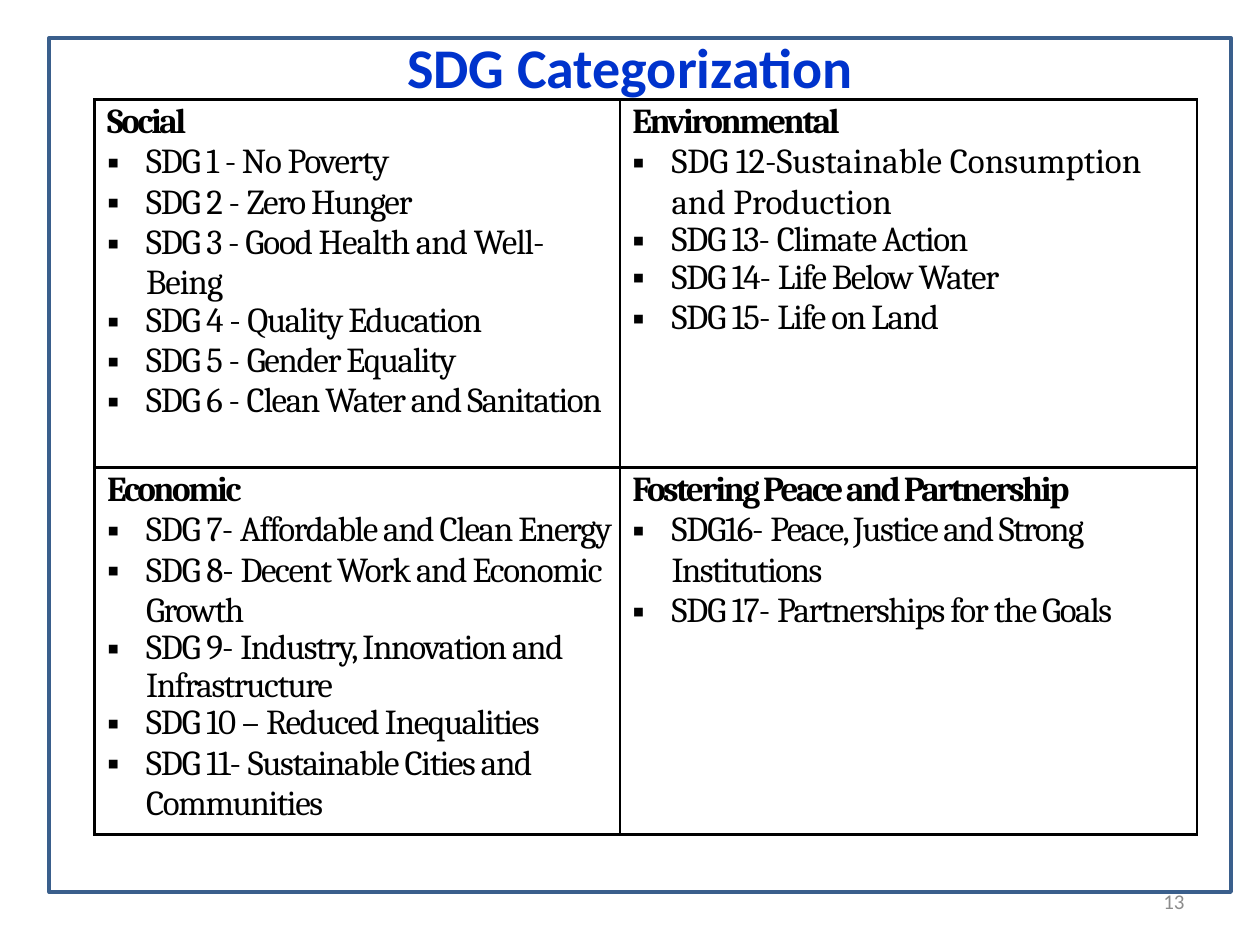
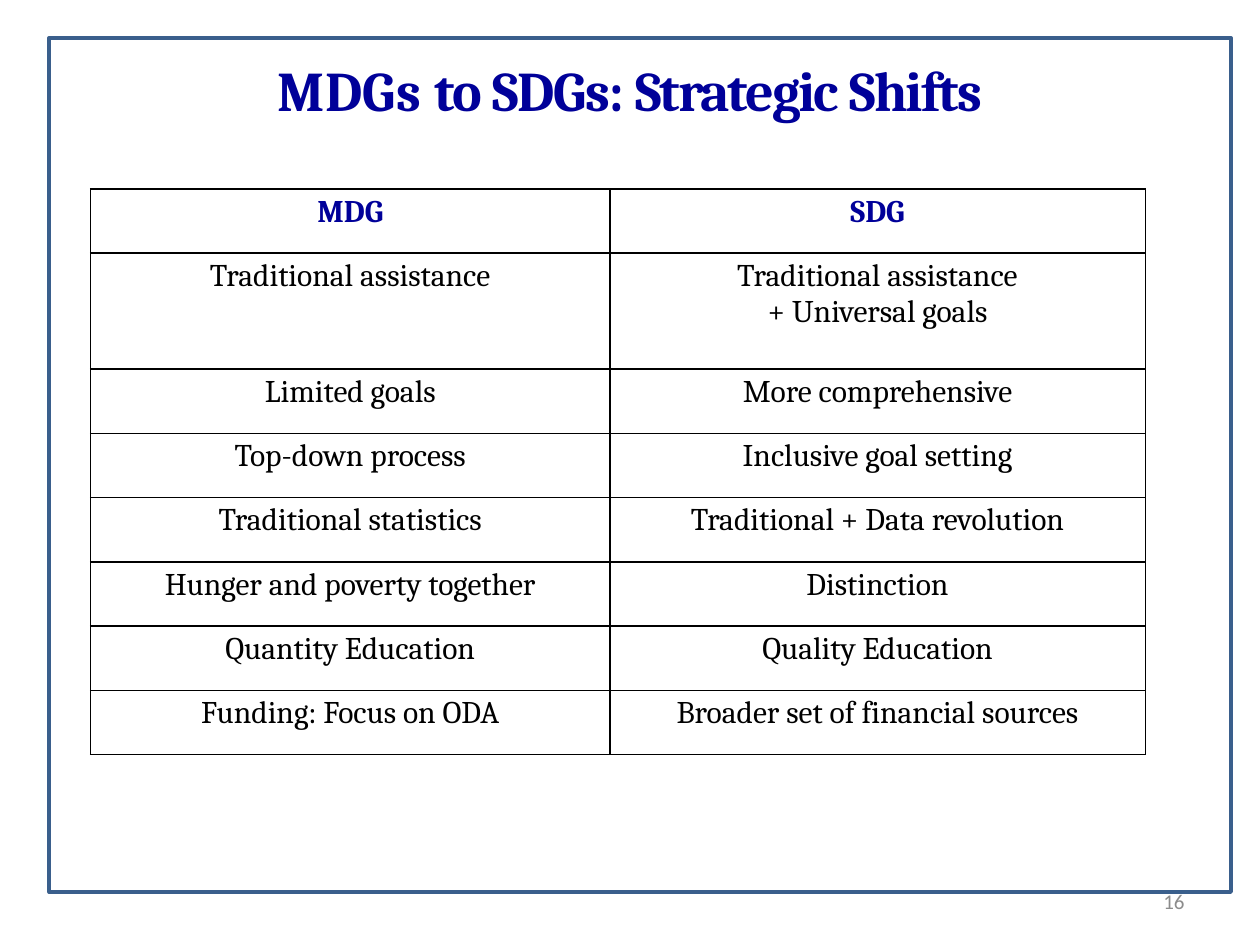
"""Build two slides on the Sustainable Development Goals."""
from lxml import etree
from pptx import Presentation
from pptx import util as u
from pptx.dml.color import RGBColor
from pptx.enum import shapes, text
from pptx.oxml.ns import qn

PX = 9144
BLACK = RGBColor(0x00, 0x00, 0x00)
WHITE = RGBColor(0xFF, 0xFF, 0xFF)
FRAME_BLUE = RGBColor(0x3A, 0x5F, 0x8C)
BRIGHT_BLUE = RGBColor(0x00, 0x33, 0xCC)
NAVY = RGBColor(0x00, 0x00, 0x99)
GREY = RGBColor(0x8C, 0x8C, 0x8C)
SANS, SERIF = "Calibri", "Cambria"
TITLE_ONLY = 5

FRAME_BOX = (39, 30, 938, 678)
NUMBER_BOX = (717, 695, 233, 40)
LABEL_SPACING, NAME_SPACING, HEADING_SPACING = -0.6, -0.8, -1.4
TIGHT_LINE = u.Pt(21.4)

# Each goal: label, name, letter spacing of the name, exact line height or None.
CATEGORIES = [
    [
        ("Social", [
            ("SDG 1 - ", "No Poverty", -0.6, None),
            ("SDG 2 - ", "Zero Hunger", NAME_SPACING, None),
            ("SDG 3 - ", "Good Health and Well-Being", -0.6, None),
            ("SDG 4 - ", "Quality Education", NAME_SPACING, TIGHT_LINE),
            ("SDG 5 - ", "Gender Equality", NAME_SPACING, None),
            ("SDG 6 - ", "Clean Water and Sanitation", NAME_SPACING, None),
        ]),
        ("Environmental", [
            ("SDG 12-", "Sustainable Consumption and Production", 0, None),
            ("SDG 13- ", "Climate Action", NAME_SPACING, TIGHT_LINE),
            ("SDG 14- ", "Life Below Water", NAME_SPACING, TIGHT_LINE),
            ("SDG 15- ", "Life on Land", NAME_SPACING, None),
        ]),
    ],
    [
        ("Economic", [
            ("SDG 7- ", "Affordable and Clean Energy", NAME_SPACING, None),
            ("SDG 8- ", "Decent Work and Economic Growth", NAME_SPACING, None),
            ("SDG 9- ", "Industry, Innovation and Infrastructure", NAME_SPACING, TIGHT_LINE),
            ("SDG 10 – ", "Reduced Inequalities", NAME_SPACING, TIGHT_LINE),
            ("SDG 11- ", "Sustainable Cities and Communities", NAME_SPACING, None),
        ]),
        ("Fostering Peace and Partnership", [
            ("SDG16- ", "Peace, Justice and Strong Institutions", -0.9, None),
            ("SDG 17- ", "Partnerships for the Goals", NAME_SPACING, None),
        ]),
    ],
]

SHIFTS = [
    ("MDG", "SDG"),
    ("Traditional assistance", "Traditional assistance\n+ Universal goals"),
    ("Limited goals", "More comprehensive"),
    ("Top-down process", "Inclusive goal setting"),
    ("Traditional statistics", "Traditional + Data revolution"),
    ("Hunger and poverty together", "Distinction"),
    ("Quantity Education", "Quality Education"),
    ("Funding: Focus on ODA", "Broader set of financial sources"),
]


def px(*lengths):
    """Turn px lengths into EMU."""
    return [length * PX for length in lengths]


def write_para(para, spans, name, size, color, bold=False, align=None):
    """Fill a paragraph with (wording, letter spacing) spans in one font."""
    para.alignment = align
    font = para.font
    font.name, font.size, font.bold = name, u.Pt(size), bold
    font.color.rgb = color
    for wording, spacing in spans:
        span = para.add_run()
        span.text = wording
        if spacing:
            span._r.get_or_add_rPr().set("spc", str(round(spacing * 100)))


def indent_para(para, left, hanging=0, bullet=None):
    """Indent a paragraph and give it a hanging bullet if asked."""
    props = para._p.get_or_add_pPr()
    props.set("marL", str(left * PX))
    props.set("indent", str(-hanging * PX))
    if bullet:
        etree.SubElement(props, qn("a:buFont"), typeface="Arial")
        etree.SubElement(props, qn("a:buChar"), char=bullet)


def next_para(frame, index):
    """Return the first paragraph of a text frame, or a new one after it."""
    return frame.add_paragraph() if index else frame.paragraphs[0]


def border_cell(cell, points):
    """Draw a black line on all four sides of a cell."""
    props = cell._tc.get_or_add_tcPr()
    for index, side in enumerate(("lnL", "lnR", "lnT", "lnB")):
        line = etree.Element(qn(f"a:{side}"), w=str(u.Pt(points)))
        fill = etree.SubElement(line, qn("a:solidFill"))
        etree.SubElement(fill, qn("a:srgbClr"), val=str(BLACK))
        props.insert(index, line)


def add_grid(page, left, top, widths, heights, margins, border):
    """Add a plain white table with black borders."""
    box = px(left, top, sum(widths), sum(heights))
    grid = page.shapes.add_table(len(heights), len(widths), *box).table
    grid.first_row = grid.horz_banding = False
    for column, width in zip(grid.columns, px(*widths)):
        column.width = width
    for row, height in zip(grid.rows, px(*heights)):
        row.height = height
    for cell in grid.iter_cells():
        cell.fill.solid()
        cell.fill.fore_color.rgb = WHITE
        (cell.margin_left, cell.margin_top,
         cell.margin_right, cell.margin_bottom) = px(*margins)
        border_cell(cell, border)
    return grid


def add_page(deck, number, title_top, title_spans, title_font, title_color):
    """Add a slide with its frame, title and page number."""
    page = deck.slides.add_slide(deck.slide_layouts[TITLE_ONLY])
    border = page.shapes.add_shape(shapes.MSO_SHAPE.RECTANGLE, *px(*FRAME_BOX))
    border.shadow.inherit = False
    border.fill.background()
    border.line.color.rgb = FRAME_BLUE
    border.line.width = u.Pt(2)

    title = page.shapes.title
    title.left, title.top, title.width, title.height = px(50, title_top, 900, 45)
    title.text_frame.auto_size = text.MSO_AUTO_SIZE.NONE
    title.text_frame.vertical_anchor = text.MSO_ANCHOR.MIDDLE
    write_para(title.text_frame.paragraphs[0], title_spans, title_font, 32,
               title_color, True, text.PP_ALIGN.CENTER)

    footer = page.shapes.add_textbox(*px(*NUMBER_BOX)).text_frame
    footer.word_wrap = True
    footer.vertical_anchor = text.MSO_ANCHOR.MIDDLE
    write_para(footer.paragraphs[0], [(str(number), 0)], SANS, 12, GREY,
               align=text.PP_ALIGN.RIGHT)
    return page


def fill_category(cell, heading, goals):
    """Write a category heading and its bulleted goals into a cell."""
    frame = cell.text_frame
    indent_para(frame.paragraphs[0], 10)
    write_para(frame.paragraphs[0], [(heading, HEADING_SPACING)], SERIF, 20,
               BLACK, True)
    for label, name, spacing, line_height in goals:
        para = frame.add_paragraph()
        if line_height:
            para.line_spacing = line_height
        indent_para(para, 41, 31, "▪")
        label_spacing = LABEL_SPACING if spacing else 0
        write_para(para, [(label, label_spacing), (name, spacing)], SERIF, 20, BLACK)


def add_categorization(deck):
    """Build the slide that sorts the goals into four categories."""
    page = add_page(deck, 13, 30, [("SDG Categorization", 0)], SANS, BRIGHT_BLUE)
    grid = add_grid(page, 75, 79, (417, 458), (292, 284), (0, 2, 0, 0), 1.5)
    for row, categories in enumerate(CATEGORIES):
        for column, (heading, goals) in enumerate(categories):
            fill_category(grid.cell(row, column), heading, goals)


def add_strategic_shifts(deck):
    """Build the slide that compares the MDGs with the SDGs."""
    title_spans = [("MDGs ", 0.2), ("to ", -0.9), ("SDGs: ", -0.8),
                   ("Strategic ", -1.2), ("Shifts", -1)]
    page = add_page(deck, 16, 48, title_spans, SERIF, NAVY)
    heights = [51, 92] + [51] * (len(SHIFTS) - 2)
    grid = add_grid(page, 72, 150, (412, 425), heights, (7, 4, 7, 4), 1)
    for row, pair in enumerate(SHIFTS):
        for column, wording in enumerate(pair):
            frame = grid.cell(row, column).text_frame
            for index, line in enumerate(wording.split("\n")):
                write_para(next_para(frame, index), [(line, 0)], SERIF, 18,
                           BLACK if row else NAVY, row == 0,
                           text.PP_ALIGN.CENTER)


def main():
    """Build and save the deck."""
    deck = Presentation()
    deck.slide_width, deck.slide_height = px(1000, 750)
    add_categorization(deck)
    add_strategic_shifts(deck)
    deck.save("out.pptx")


if __name__ == "__main__":
    main()
